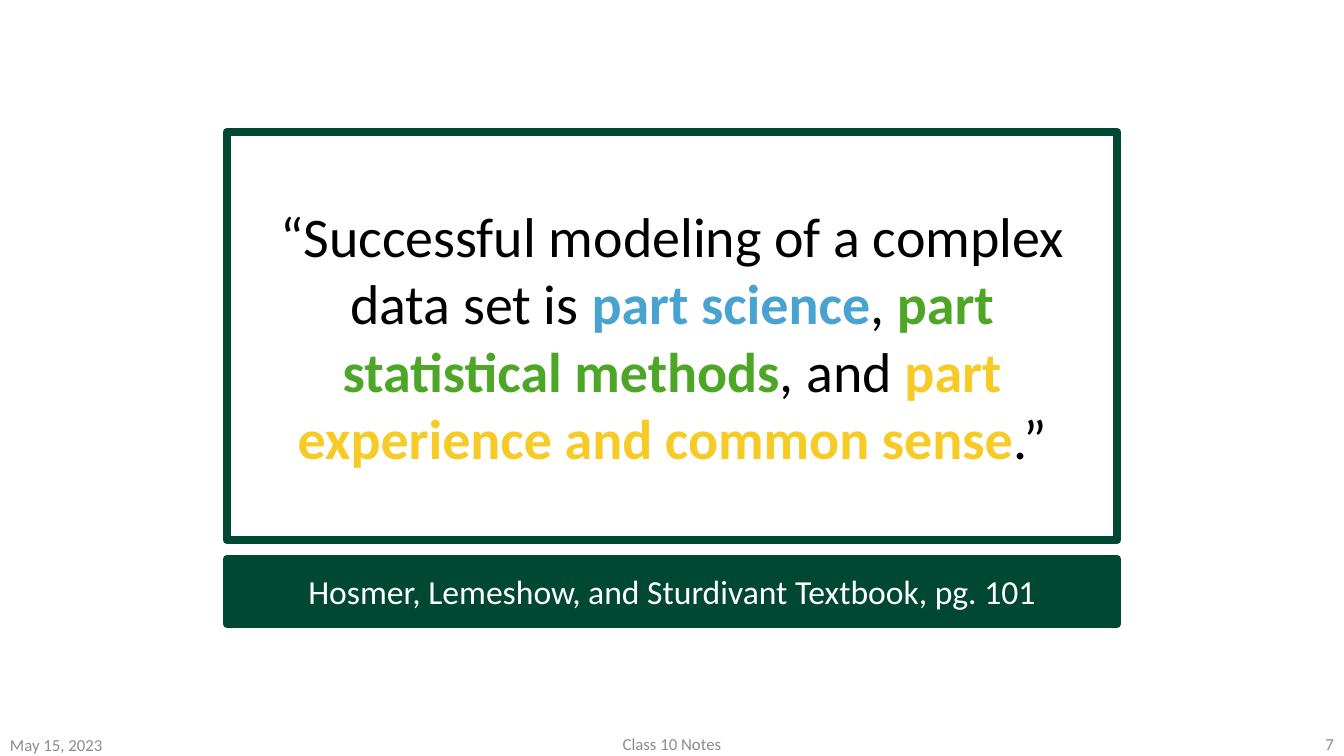
from dataclasses import dataclass

from pptx import Presentation
from pptx.dml.color import RGBColor
from pptx.enum.shapes import MSO_SHAPE
from pptx.enum.text import MSO_ANCHOR, PP_ALIGN
from pptx.util import Emu, Pt

SLIDE_WIDTH, SLIDE_HEIGHT = 1344, 756


@dataclass(frozen=True)
class Theme:
    """Fonts, colours and type sizes of the slide."""
    font: str = "Calibri"
    frame: str = "004832"
    ink: str = "000000"
    paper: str = "FFFFFF"
    muted: str = "8C8C8C"
    science: str = "49A3D1"
    methods: str = "4EA627"
    experience: str = "F7CB25"
    quote_size: int = 40
    source_size: int = 24
    footer_size: int = 12
    frame_width: int = 6


THEME = Theme()

QUOTE = [
    ("“Successful modeling of a complex data set is ", THEME.ink, False),
    ("part science", THEME.science, True),
    (", ", THEME.ink, False),
    ("part statistical methods", THEME.methods, True),
    (", and ", THEME.ink, False),
    ("part experience and common sense", THEME.experience, True),
    (".”", THEME.ink, False),
]
SOURCE = [("Hosmer, Lemeshow, and Sturdivant Textbook, pg. 101", THEME.paper, False)]


def px(length):
    """Turn a length in pixels into EMU."""
    return Emu(round(length * 914400 / 100.8))


def write_text(shape, runs, size, alignment, inset):
    """Fill a shape with one paragraph of (text, colour, bold) runs."""
    frame = shape.text_frame
    frame.word_wrap = True
    frame.vertical_anchor = MSO_ANCHOR.MIDDLE
    frame.margin_left = frame.margin_right = px(inset)
    frame.margin_top = frame.margin_bottom = 0
    paragraph = frame.paragraphs[0]
    paragraph.alignment = alignment
    for text, color, bold in runs:
        run = paragraph.add_run()
        run.text = text
        run.font.name = THEME.font
        run.font.size = Pt(size)
        run.font.bold = bold
        run.font.color.rgb = RGBColor.from_string(color)


def add_panel(shapes, box, runs, size, filled):
    """Add a framed rectangle with centred text."""
    shape = shapes.add_shape(MSO_SHAPE.RECTANGLE, *map(px, box))
    shape.shadow.inherit = False
    shape.line.color.rgb = RGBColor.from_string(THEME.frame)
    shape.line.width = Pt(THEME.frame_width)
    if filled:
        shape.fill.solid()
        shape.fill.fore_color.rgb = RGBColor.from_string(THEME.frame)
    else:
        shape.fill.background()
    write_text(shape, runs, size, PP_ALIGN.CENTER, 30)


def add_quote_card(slide, box):
    """Add the quotation panel and the source bar below it."""
    left, top, width, height = box
    source_height, gap = 65, 19
    quote_height = height - source_height - gap
    shapes = slide.shapes.add_group_shape().shapes
    add_panel(shapes, (left, top, width, quote_height), QUOTE, THEME.quote_size, False)
    add_panel(shapes, (left, top + quote_height + gap, width, source_height),
              SOURCE, THEME.source_size, True)


def add_footer(slide, box):
    """Add the date, the class title and the page number along the bottom."""
    left, top, width, height = box
    side, middle = 302, 454
    items = [
        ("May 15, 2023", left, side, 2, PP_ALIGN.LEFT),
        ("Class 10 Notes", left + (width - middle) // 2, middle, 0, PP_ALIGN.CENTER),
        ("7", left + width - side, side, 0, PP_ALIGN.RIGHT),
    ]
    for text, item_left, item_width, drop, alignment in items:
        textbox = slide.shapes.add_textbox(
            px(item_left), px(top + drop), px(item_width), px(height - drop))
        write_text(textbox, [(text, THEME.muted, False)], THEME.footer_size, alignment, 10)


def main():
    """Build and save the presentation."""
    presentation = Presentation()
    presentation.slide_width = px(SLIDE_WIDTH)
    presentation.slide_height = px(SLIDE_HEIGHT)
    slide = presentation.slides.add_slide(presentation.slide_layouts[6])
    add_footer(slide, (0, 731, SLIDE_WIDTH, 25))
    add_quote_card(slide, (227, 132, 890, 492))
    presentation.save("out.pptx")


if __name__ == "__main__":
    main()
